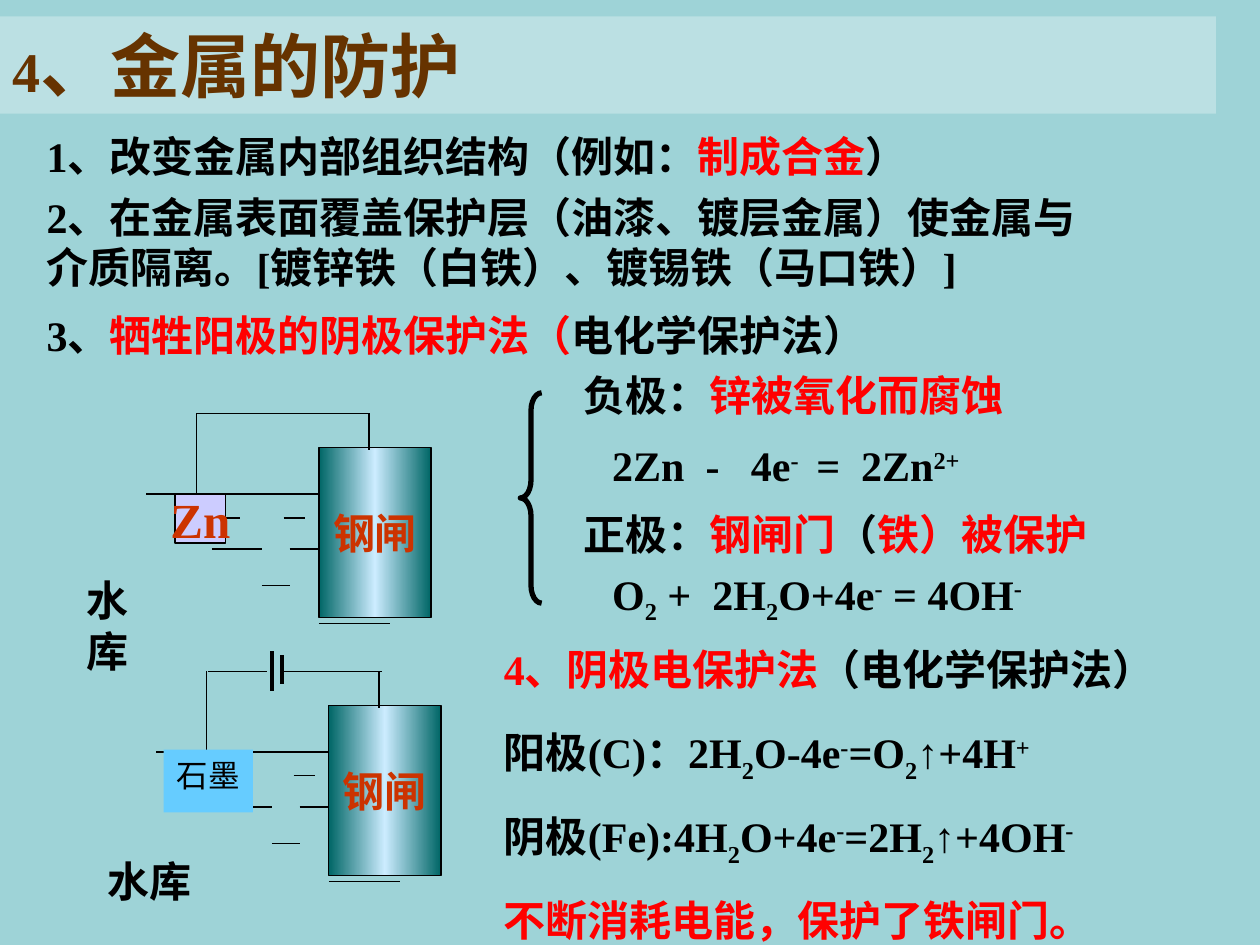
from copy import deepcopy

from lxml import etree
from pptx import Presentation
from pptx.dml.color import RGBColor
from pptx.enum.shapes import MSO_CONNECTOR, MSO_SHAPE
from pptx.enum.text import MSO_ANCHOR, MSO_AUTO_SIZE, PP_ALIGN
from pptx.oxml.ns import qn
from pptx.util import Cm, Pt

STRAIGHT = MSO_CONNECTOR.STRAIGHT
RECTANGLE, BRACE = MSO_SHAPE.RECTANGLE, MSO_SHAPE.LEFT_BRACE
LEFT, CENTER = PP_ALIGN.LEFT, PP_ALIGN.CENTER
TOP, MIDDLE = MSO_ANCHOR.TOP, MSO_ANCHOR.MIDDLE
NO_AUTOFIT = MSO_AUTO_SIZE.NONE
TITLE_ONLY = 5

# Span formats; "spacing" widens a character by hundredths of a point
RED = {"color": "FF0000"}
SUB = {"baseline": -25000}
SUP = {"baseline": 30000}
WIDE = {"spacing": 600}
WIDER = {"spacing": 1200}
ARROW = {"name": "Arial"}
LABEL = {"color": "CC3300"}


def rgb(value):
    return RGBColor.from_string(value)


class SlideBuilder:
    base = {"name": "Times New Roman", "size": 24, "bold": True, "color": "000000"}

    def __init__(self, deck, background):
        self.slide = deck.slides.add_slide(deck.slide_layouts[TITLE_ONLY])
        fill = self.slide.background.fill
        fill.solid()
        fill.fore_color.rgb = rgb(background)

    def fill_frame(self, frame, paragraphs, align=LEFT, anchor=TOP, wrap=True):
        settings = {"word_wrap": wrap, "vertical_anchor": anchor,
                    "auto_size": NO_AUTOFIT}
        for key, value in settings.items():
            setattr(frame, key, value)
        for index, spans in enumerate(paragraphs):
            para = frame.add_paragraph() if index else frame.paragraphs[0]
            para.alignment = align
            if index:
                para.space_before = Pt(15)
            for text, changes in spans:
                self.add_span(para, text, self.base | changes)

    def add_span(self, para, text, style):
        span = para.add_run()
        span.text = text
        values = {"name": style["name"], "size": Pt(style["size"]),
                  "bold": style["bold"]}
        for key, value in values.items():
            setattr(span.font, key, value)
        span.font.color.rgb = rgb(style["color"])
        properties = span.font._element
        for key, attribute in (("baseline", "baseline"), ("spacing", "spc")):
            if key in style:
                properties.set(attribute, str(style[key]))

    def title(self, place, fill, spans):
        box = self.slide.shapes.title
        for key, value in zip(("left", "top", "width", "height"), place):
            setattr(box, key, Cm(value))
        box.fill.solid()
        box.fill.fore_color.rgb = rgb(fill)
        self.fill_frame(box.text_frame, [spans])

    def text(self, place, *paragraphs):
        box = self.slide.shapes.add_textbox(*map(Cm, place))
        self.fill_frame(box.text_frame, paragraphs)

    def shape(self, kind, place, fill=None, line=0.75, spans=(), **layout):
        shape = self.slide.shapes.add_shape(kind, *map(Cm, place))
        shape.shadow.inherit = False
        if fill:
            shape.fill.solid()
            shape.fill.fore_color.rgb = rgb(fill)
        else:
            shape.fill.background()
        if line:
            shape.line.color.rgb = rgb("000000")
            shape.line.width = Pt(line)
        else:
            shape.line.fill.background()
        if spans:
            self.fill_frame(shape.text_frame, [spans], align=CENTER, **layout)
        return shape

    def line(self, x1, y1, x2, y2, width=0.75):
        line = self.slide.shapes.add_connector(STRAIGHT, *map(Cm, (x1, y1, x2, y2)))
        line.line.color.rgb = rgb("000000")
        line.line.width = Pt(width)
        etree.SubElement(line._element.spPr, qn("a:effectLst"))

    def gate(self, place):
        gate = self.shape(RECTANGLE, place, spans=[("钢闸", LABEL)],
                          anchor=MIDDLE, wrap=False)
        gate.fill.gradient()
        gate.fill.gradient_angle = 0
        for stop in gate.fill.gradient_stops:
            stop.color.rgb = rgb("006666")
        first = gate._element.spPr.find(".//" + qn("a:gs"))
        first.addnext(deepcopy(first))
        middle = gate.fill.gradient_stops[1]
        middle.position = 0.5
        middle.color.rgb = rgb("CCECFF")

    def reservoir(self, dx=0, dy=0):
        """Water surface, ripples, steel gate and the two upright wires."""
        water = [(2.95, 8.18, 9.96), (5.72, 6.15, 10.44), (4.27, 5.28, 11.07),
                 (5.84, 6.43, 11.07), (5.28, 5.84, 11.81), (6.43, 7.87, 12.57)]
        for start, end, y in water:
            self.line(start + dx, y + dy, end + dx, y + dy)
        self.gate((6.43 + dx, 9.02 + dy, 2.26, 3.43))
        for x, bottom in ((3.96, 9.96), (7.44, 9.07)):
            self.line(x + dx, 8.33 + dy, x + dx, bottom + dy)


def main():
    deck = Presentation()
    deck.slide_width, deck.slide_height = Cm(25.4), Cm(19.05)
    page = SlideBuilder(deck, "9ED3D7")

    # Title band
    brown = {"color": "663300"}
    page.title((0, 0.33, 24.51, 1.96), "BBE0E3",
               [("4", brown | {"size": 32}), ("、金属的防护", brown | {"size": 40})])

    # Protection methods 1 to 3
    page.text((0.69, 2.51, 21.97, 1.27),
              [("1、改变金属内部组织结构（例如：", {}), ("制成合金", RED), ("）", {})])
    page.text((0.69, 3.73, 21.39, 2.29),
              [("2、在金属表面覆盖保护层（油漆、镀层金属）使金属与介质隔离。"
                "[镀锌铁（白铁）、镀锡铁（马口铁）]", {})])
    page.text((0.69, 6.12, 18.01, 1.27),
              [("3、", {}), ("牺牲阳极的阴极保护法（", RED), ("电化学保护法）", {})])

    # Sacrificial zinc anode
    page.reservoir()
    page.line(3.68, 10.44, 4.83, 10.44)
    page.shape(RECTANGLE, (3.53, 9.96, 1.02, 0.99), "CCCCFF",
               spans=[("Zn", LABEL | {"size": 28})], anchor=MIDDLE, wrap=False)
    page.line(3.96, 8.33, 7.44, 8.33)
    page.text((1.5, 11.46, 1.6, 2.29), [("水库", {})])

    # Electrode reactions of method 3
    brace = page.shape(BRACE, (10.49, 7.92, 0.43, 4.24), line=3)
    brace.adjustments[0] = 0.83
    page.text((11.51, 7.32, 10.21, 1.27), [("负极：", {}), ("锌被氧化而腐蚀", RED)])
    page.text((12.09, 8.74, 8.46, 1.27),
              [("2Zn", {}), (" ", WIDE), ("-", {}), (" ", WIDER), ("4e", {}),
               ("-", SUP), (" ", {"spacing": 400}), ("=", {}), (" ", WIDE),
               ("2Zn", {}), ("2+", SUP)])
    page.text((11.51, 10.13, 12.07, 1.27),
              [("正极：", {}), ("钢闸门", RED), ("（", {}), ("铁）被保护", RED)])
    page.text((12.09, 11.33, 8.89, 1.42),
              [("O", {}), ("2", SUB), (" +", {}), (" ", WIDE), ("2H", {}), ("2", SUB),
               ("O+4e", {}), ("-", SUP), (" = 4OH", {}), ("-", SUP)])

    # Impressed current with a graphite anode and a battery
    page.reservoir(0.2, 5.2)
    page.shape(RECTANGLE, (3.3, 15.11, 1.8, 1.27), "66CCFF", line=0,
               spans=[("石墨", {"size": 18, "bold": False})])
    page.text((1.91, 17.12, 2.59, 1.27), [("水库", {})])
    for x, top, bottom in ((5.49, 13.13, 13.92), (5.69, 13.21, 13.79)):
        page.line(x, top, x, bottom, 2.25)
    for start, end in ((4.19, 5.38), (5.69, 7.7)):
        page.line(start, 13.53, end, 13.53)

    # Method 4 and its reactions
    page.text((9.91, 12.85, 15.01, 1.27),
              [("4、阴极电保护法", RED), ("（电化学保护法）", {})])
    page.text((9.91, 14.53, 14.61, 4.65),
              [("阳极(C)：2H", {}), ("2", SUB), ("O-4e", {}), ("-", SUP), ("=O", {}),
               ("2", SUB), ("↑", ARROW), ("+4H", {}), ("+", SUP)],
              [("阴极(Fe):4H", {}), ("2", SUB), ("O+4e", {}), ("-", SUP), ("=2H", {}),
               ("2", SUB), ("↑", ARROW), ("+4OH", {}), ("-", SUP)],
              [("不断消耗电能，保护了铁闸门。", RED)])

    deck.save("out.pptx")


if __name__ == "__main__":
    main()
